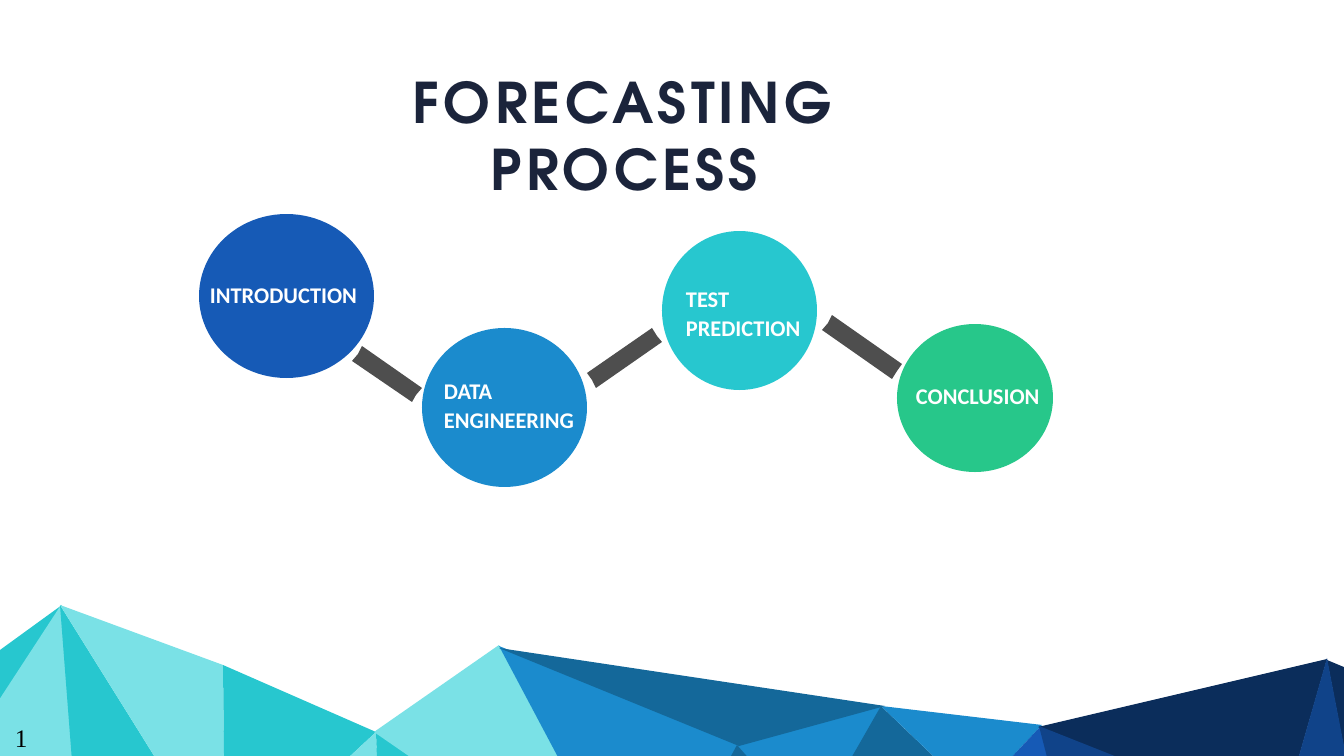
from typing import NamedTuple

from pptx import Presentation
from pptx.dml.color import RGBColor
from pptx.enum.shapes import MSO_SHAPE
from pptx.enum.text import MSO_ANCHOR, MSO_AUTO_SIZE, PP_ALIGN
from pptx.util import Emu, Pt

PX = 914400 / 50.4

AQUA = RGBColor(0x27, 0xC7, 0xCF)
PALE_AQUA = RGBColor(0x7A, 0xE1, 0xE6)
SKY = RGBColor(0x1B, 0x8B, 0xCD)
TEAL = RGBColor(0x14, 0x68, 0x9A)
ROYAL = RGBColor(0x16, 0x5A, 0xB6)
COBALT = RGBColor(0x10, 0x43, 0x89)
NAVY = RGBColor(0x0B, 0x2D, 0x5B)
GREEN = RGBColor(0x27, 0xC7, 0x8A)
GREY = RGBColor(0x4E, 0x4E, 0x4E)
INK = RGBColor(0x1B, 0x24, 0x3B)
WHITE = RGBColor(0xFF, 0xFF, 0xFF)
BLACK = RGBColor(0x00, 0x00, 0x00)


class Box(NamedTuple):
    left: int
    top: int
    width: int
    height: int


class Polygon(NamedTuple):
    color: RGBColor
    points: list[tuple[int, int]]


class Step(NamedTuple):
    label: str
    color: RGBColor
    circle: Box
    text: Box


class Style(NamedTuple):
    font: str
    size: int
    color: RGBColor
    bold: bool = False


TITLE = Style("TeX Gyre Adventor", 80, INK, True)
LABEL = Style("Calibri", 32, WHITE, True)
NUMBER = Style("Times New Roman", 36, BLACK)

FACETS = [
    Polygon(AQUA, [(62, 605), (0, 650), (0, 700)]),
    Polygon(PALE_AQUA, [(79, 839), (61, 605), (-1, 700), (-1, 839)]),
    Polygon(AQUA, [(206, 839), (60, 605), (78, 839)]),
    Polygon(PALE_AQUA, [(225, 839), (223, 665), (60, 605), (206, 839)]),
    Polygon(AQUA, [(261, 839), (376, 732), (223, 665), (225, 839)]),
    Polygon(PALE_AQUA, [(381, 839), (376, 732), (261, 839)]),
    Polygon(AQUA, [(530, 839), (376, 732), (380, 839)]),
    Polygon(PALE_AQUA, [(602, 839), (499, 645), (374, 732), (529, 839)]),
    Polygon(SKY, [(686, 840), (739, 744), (499, 646), (602, 840)]),
    Polygon(SKY, [(736, 745), (811, 830), (882, 706)]),
    Polygon(TEAL, [(810, 830), (975, 796), (881, 706)]),
    Polygon(SKY, [(881, 706), (975, 796), (1042, 725)]),
    Polygon(ROYAL, [(1070, 842), (1041, 726), (973, 798), (1022, 842)]),
    Polygon(NAVY, [(1038, 727), (1280, 823), (1327, 659)]),
    Polygon(COBALT, [(1230, 842), (1281, 822), (1039, 726), (1069, 842)]),
    Polygon(NAVY, [(1351, 670), (1327, 660), (1351, 785)]),
    Polygon(COBALT, [(1351, 842), (1351, 782), (1327, 658), (1280, 822), (1310, 842)]),
    Polygon(TEAL, [(499, 648), (885, 706), (739, 746)]),
    Polygon(TEAL, [(792, 841), (812, 830), (737, 745), (685, 841)]),
]

BARS = [
    Polygon(GREY, [(422, 388), (362, 346), (358, 354), (352, 361), (412, 402), (416, 395)]),
    Polygon(GREY, [(652, 328), (587, 373), (592, 380), (596, 388), (662, 342), (657, 336)]),
    Polygon(GREY, [(902, 364), (832, 315), (828, 323), (822, 330), (892, 379), (897, 371)]),
]

STEPS = [
    Step("INTRODUCTION", ROYAL, Box(199, 214, 175, 164), Box(205, 276, 173, 33)),
    Step("DATA ENGINEERING", SKY, Box(422, 328, 165, 159), Box(439, 372, 156, 63)),
    Step("TEST PREDICTION", AQUA, Box(662, 231, 155, 159), Box(681, 280, 156, 63)),
    Step("CONCLUSION", GREEN, Box(897, 324, 156, 148), Box(911, 377, 156, 33)),
]


def px(n: int) -> Emu:
    return Emu(round(n * PX))


def paint(sp, color: RGBColor) -> None:
    sp.shadow.inherit = False
    sp.fill.solid()
    sp.fill.fore_color.rgb = color
    sp.line.fill.background()


def draw_polygon(s, polygon: Polygon) -> None:
    start, *rest = polygon.points
    builder = s.shapes.build_freeform(*start, scale=PX)
    builder.add_line_segments(rest, close=True)
    paint(builder.convert_to_shape(), polygon.color)


def write(sp, text: str, style: Style):
    tf = sp.text_frame
    tf.word_wrap = True
    tf.auto_size = MSO_AUTO_SIZE.SHAPE_TO_FIT_TEXT
    tf.vertical_anchor = MSO_ANCHOR.TOP
    p = tf.paragraphs[0]
    r = p.add_run()
    r.text = text
    r.font.name = style.font
    r.font.size = Pt(style.size)
    r.font.bold = style.bold
    r.font.color.rgb = style.color
    return p


def draw_text(s, box: Box, text: str, style: Style):
    return write(s.shapes.add_textbox(*map(px, box)), text, style)


def draw_title(s, box: Box, text: str) -> None:
    sp = s.shapes.title
    sp.left, sp.top, sp.width, sp.height = map(px, box)
    p = write(sp, text, TITLE)
    p.alignment = PP_ALIGN.CENTER
    p.runs[0].font._element.set("spc", "600")


def draw_circle(s, step: Step) -> None:
    paint(s.shapes.add_shape(MSO_SHAPE.OVAL, *map(px, step.circle)), step.color)


def draw_label(s, step: Step) -> None:
    p = draw_text(s, step.text, step.label, LABEL)
    p.line_spacing = Pt(42)


prs = Presentation()
prs.slide_width, prs.slide_height = px(1344), px(756)
s = prs.slides.add_slide(prs.slide_layouts[5])

for polygon in FACETS + BARS:
    draw_polygon(s, polygon)
for step in STEPS:
    draw_circle(s, step)
draw_title(s, Box(303, 65, 643, 73), "FORECASTING PROCESS")
for step in STEPS:
    draw_label(s, step)
draw_text(s, Box(10, 720, 50, 36), "1", NUMBER)

prs.save("out.pptx")
